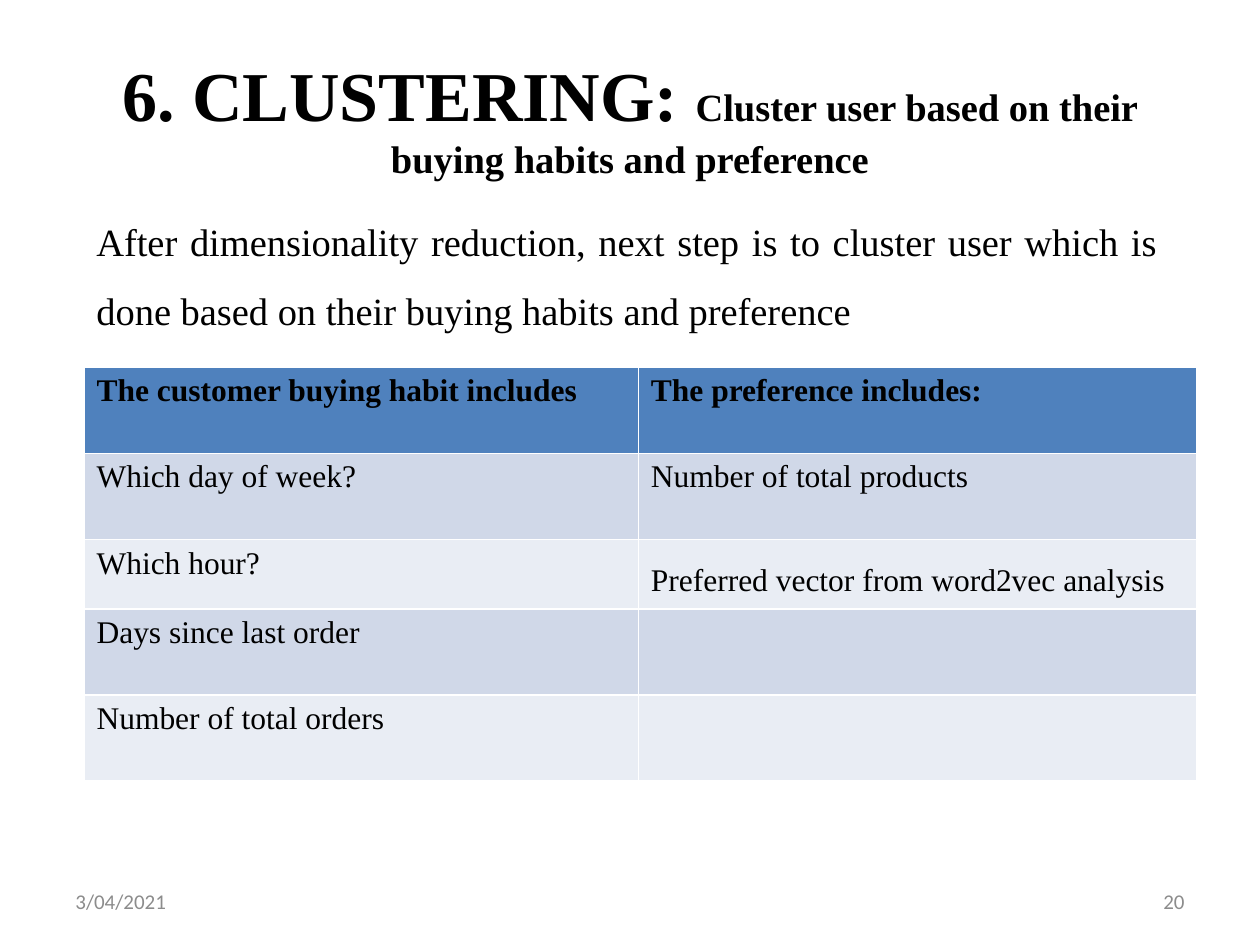
from pptx import Presentation
from pptx.dml.color import RGBColor
from pptx.enum.text import MSO_ANCHOR, PP_ALIGN
from pptx.util import Inches, Pt

THEME = {
    "serif": "Times New Roman", "sans": "Calibri",
    "ink": "000000", "muted": "8C8C8C",
    "header": "4F81BD", "bands": ("D0D8E8", "E9EDF4"),
    "title": 40, "body": 22, "cell": 18, "footer": 12,
}
UNIT = Inches(10) / 60


def grid(*counts):
    return [round(count * UNIT) for count in counts]


def write(frame, runs, formats, font="serif", color="ink", bold=False):
    paragraph = frame.paragraphs[0]
    for name, value in formats.items():
        setattr(paragraph, name, value)
    for text, size in runs:
        run = paragraph.add_run()
        run.text = text
        values = {"name": THEME[font], "size": Pt(THEME[size]), "bold": bold}
        for name, value in values.items():
            setattr(run.font, name, value)
        run.font.color.rgb = RGBColor.from_string(THEME[color])


presentation = Presentation()
presentation.slide_width, presentation.slide_height = grid(60, 45)
slide = presentation.slides.add_slide(presentation.slide_layouts[6])

centered = {"alignment": PP_ALIGN.CENTER}
justified = {"alignment": PP_ALIGN.JUSTIFY, "line_spacing": 1.5}
title = [("6. CLUSTERING: ", "title"),
         ("Cluster user based on their buying habits and preference", "body")]
introduction = [("After dimensionality reduction, next step is to cluster user which is "
                 "done based on their buying habits and preference", "body")]
footer = {"font": "sans", "color": "muted"}
text_boxes = [
    ((3, 1.8, 54, 7.5), MSO_ANCHOR.MIDDLE, title, centered, {"bold": True}),
    ((4, 9, 51.7, 8.5), MSO_ANCHOR.TOP, introduction,
     {**justified, "space_after": Pt(10)}, {}),
    ((3, 41.7, 14, 2.4), MSO_ANCHOR.MIDDLE, [("3/04/2021", "footer")], {}, footer),
    ((43, 41.7, 14, 2.4), MSO_ANCHOR.MIDDLE, [("20", "footer")],
     {"alignment": PP_ALIGN.RIGHT}, footer),
]
for area, anchor, runs, formats, style in text_boxes:
    frame = slide.shapes.add_textbox(*grid(*area)).text_frame
    frame.word_wrap = True
    frame.vertical_anchor = anchor
    write(frame, runs, formats, **style)

rows = [
    ("The customer buying habit includes", "The preference includes:"),
    ("Which day of week?", "Number of total products"),
    ("Which hour?", "Preferred vector from word2vec analysis"),
    ("Days since last order", ""),
    ("Number of total orders", ""),
]
row_heights = grid(4.1, 4.1, 3.1, 4.1, 4.1)
table = slide.shapes.add_table(len(rows), 2, *grid(4, 17.5, 53, 19.5)).table
for column, width in zip(table.columns, grid(26.4, 26.6)):
    column.width = width
for row_index, (texts, height) in enumerate(zip(rows, row_heights)):
    table.rows[row_index].height = height
    fill = THEME["bands"][(row_index - 1) % 2] if row_index else THEME["header"]
    for column_index, text in enumerate(texts):
        cell = table.cell(row_index, column_index)
        cell.fill.solid()
        cell.fill.fore_color.rgb = RGBColor.from_string(fill)
        if text:
            formats = justified if (row_index, column_index) == (2, 1) else {}
            write(cell.text_frame, [(text, "cell")], formats, bold=row_index == 0)

presentation.save("out.pptx")
